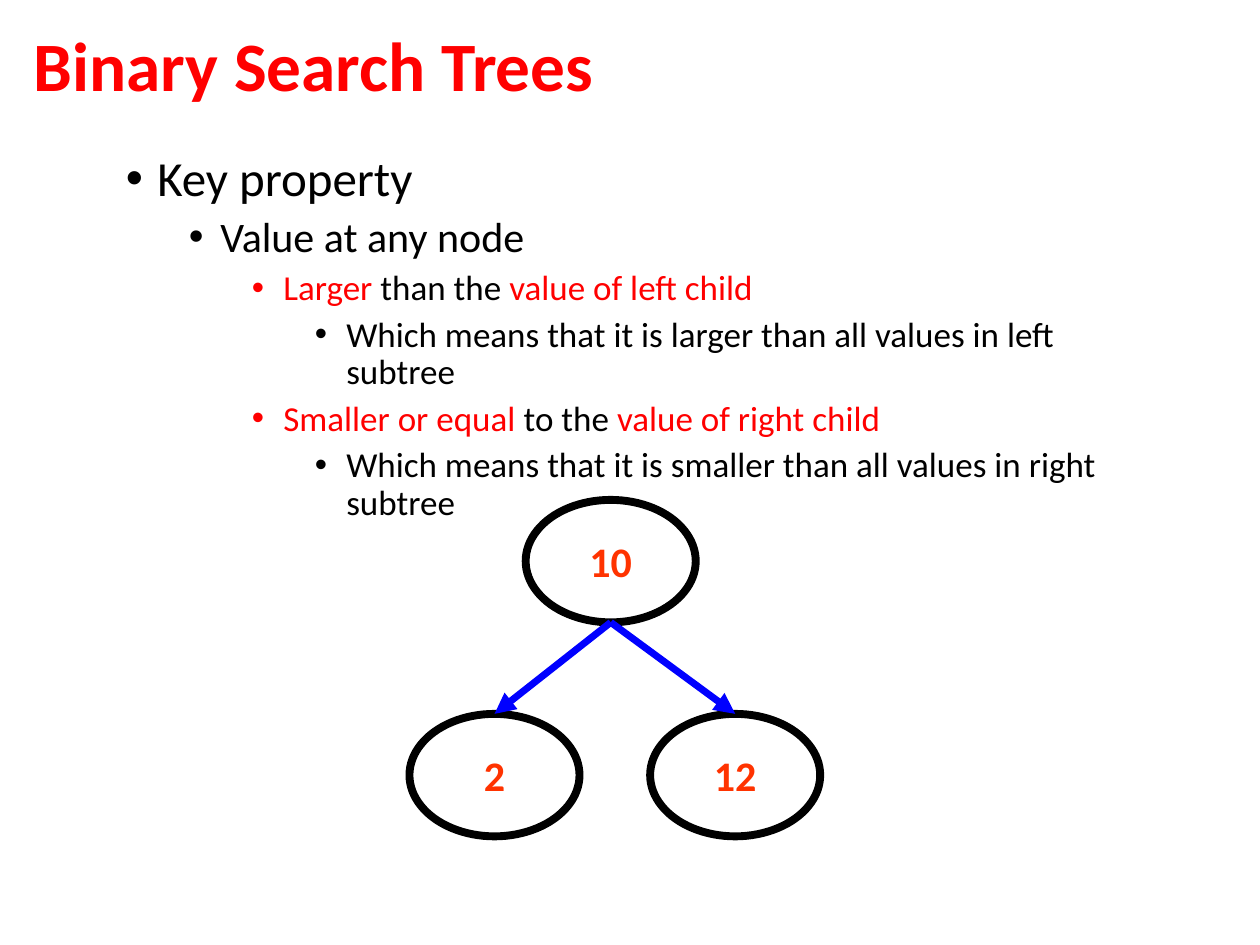
from lxml import etree
from pptx import Presentation
from pptx.dml.color import RGBColor
from pptx.enum.shapes import MSO_CONNECTOR, MSO_SHAPE
from pptx.enum.text import MSO_ANCHOR, PP_ALIGN
from pptx.oxml.ns import qn
from pptx.util import Inches, Pt

RED = RGBColor(0xFF, 0x00, 0x00)
ORANGE = RGBColor(0xFF, 0x33, 0x00)
BLUE = RGBColor(0x00, 0x00, 0xFF)
BLACK = RGBColor(0x00, 0x00, 0x00)
OVAL = MSO_SHAPE.OVAL
LINE = MSO_CONNECTOR.STRAIGHT
MIDDLE, TOP = MSO_ANCHOR.MIDDLE, MSO_ANCHOR.TOP
LEFT, CENTER = PP_ALIGN.LEFT, PP_ALIGN.CENTER
FONT = "Calibri"
WIDE, HIGH = Inches(10), Inches(7.5)
STEP = Inches(0.25)
SIZES = [28, 24, 20, 20]

POINTS = [
    (0, [("Key property", BLACK)]),
    (1, [("Value at any node", BLACK)]),
    (2, [("Larger", RED), (" than the ", BLACK), ("value of left child", RED)]),
    (3, [("Which means that it is larger than all values in left subtree", BLACK)]),
    (2, [("Smaller or equal ", RED), ("to the ", BLACK), ("value of right child", RED)]),
    (3, [("Which means that it is smaller than all values in right subtree", BLACK)]),
]


def share(x, y, w, h):
    """Turn shares of the slide into a box of lengths."""
    return round(x * WIDE), round(y * HIGH), round(w * WIDE), round(h * HIGH)


def write(para, text, size=24, color=BLACK, bold=False, align=LEFT):
    """Add one formatted run to a paragraph."""
    para.alignment = align
    run = para.add_run()
    run.text = text
    font = run.font
    font.name, font.size, font.bold = FONT, Pt(size), bold
    font.color.rgb = color


def add_frame(slide, box, anchor):
    """Add a wrapping text box and return its frame."""
    frame = slide.shapes.add_textbox(*box).text_frame
    frame.word_wrap = True
    frame.vertical_anchor = anchor
    return frame


def add_bullet(para, level):
    """Give a paragraph a hanging bullet for its level."""
    props = para._p.get_or_add_pPr()
    props.set("marL", str(STEP * (2 * level + 1)))
    props.set("indent", str(-STEP))
    etree.SubElement(props, qn("a:buFont")).set("typeface", "Arial")
    etree.SubElement(props, qn("a:buChar")).set("char", "•")
    para.level = level


def add_title(slide, box):
    """Place the slide title."""
    para = add_frame(slide, box, MIDDLE).paragraphs[0]
    para.line_spacing = 0.9
    write(para, "Binary Search Trees", size=39.6, color=RED, bold=True)


def add_points(slide, box):
    """Place the nested list of points."""
    frame = add_frame(slide, box, TOP)
    for i, (level, runs) in enumerate(POINTS):
        para = frame.add_paragraph() if i else frame.paragraphs[0]
        add_bullet(para, level)
        para.line_spacing = 0.9
        para.space_before = Pt(5 if i else 0)
        for text, color in runs:
            write(para, text, size=SIZES[level], color=color)


def add_node(slide, box, text):
    """Place one tree node with its value."""
    node = slide.shapes.add_shape(OVAL, *box)
    node.shadow.inherit = False
    node.fill.background()
    node.line.color.rgb = BLACK
    node.line.width = Pt(4.5)
    frame = node.text_frame
    frame.margin_left = frame.margin_right = 0
    frame.vertical_anchor = MIDDLE
    write(frame.paragraphs[0], text, color=ORANGE, bold=True, align=CENTER)
    return node


def add_arrow(slide, start, end):
    """Draw an arrow from one node's bottom to another's top."""
    arrow = slide.shapes.add_connector(
        LINE, start.left + start.width // 2, start.top + start.height,
        end.left + end.width // 2, end.top)
    arrow.line.color.rgb = BLUE
    arrow.line.width = Pt(4)
    tail = etree.SubElement(arrow.line._get_or_add_ln(), qn("a:tailEnd"))
    tail.set("type", "triangle")
    etree.SubElement(arrow._element.spPr, qn("a:effectLst"))


def add_tree(slide, box):
    """Place a root and its two children in the box."""
    x, y, w, h = box
    wide, high = round(w * 0.414), round(h * 0.364)
    low = y + h - high
    root = add_node(slide, (x + round(w * 0.283), y, wide, high), "10")
    kids = [add_node(slide, (left, low, wide, high), text)
            for left, text in [(x, "2"), (x + w - wide, "12")]]
    for kid in kids:
        add_arrow(slide, root, kid)


def main():
    """Build and save the slide."""
    deck = Presentation()
    deck.slide_width, deck.slide_height = WIDE, HIGH
    slide = deck.slides.add_slide(deck.slide_layouts[6])
    add_title(slide, share(0.017, 0.024, 0.962, 0.099))
    add_points(slide, share(0.09, 0.157, 0.825, 0.771))
    add_tree(slide, share(0.325, 0.529, 0.326, 0.356))
    deck.save("out.pptx")


if __name__ == "__main__":
    main()
